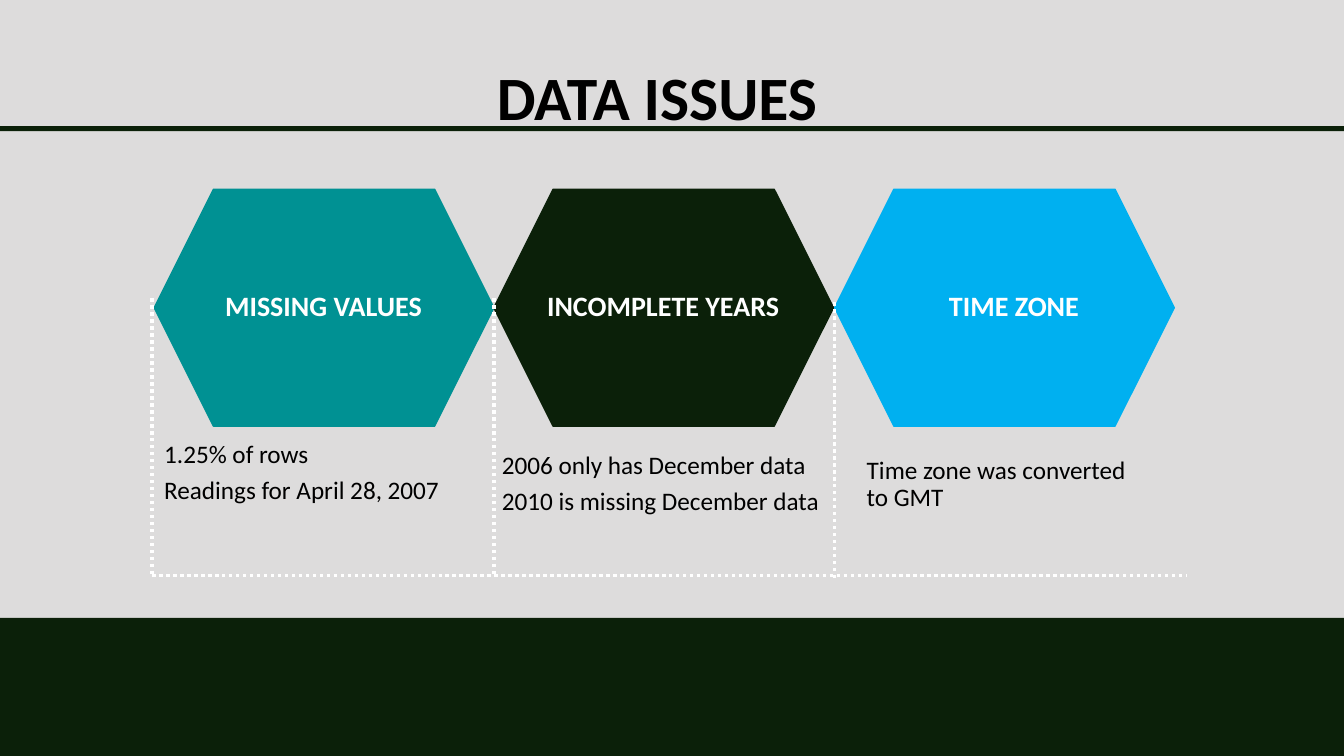
from dataclasses import dataclass

from lxml.etree import SubElement
from pptx import Presentation
from pptx.dml.color import RGBColor
from pptx.enum.dml import MSO_LINE
from pptx.enum.shapes import MSO_CONNECTOR, MSO_SHAPE
from pptx.enum.text import MSO_ANCHOR, MSO_AUTO_SIZE, PP_ALIGN
from pptx.oxml.ns import qn
from pptx.util import Pt


@dataclass(frozen=True)
class Theme:
    font: str = "Calibri"
    backdrop: str = "DDDCDC"
    forest: str = "0B2009"
    teal: str = "009193"
    sky: str = "00B0F0"
    ink: str = "000000"
    white: str = "FFFFFF"
    title_size: int = 44
    label_size: int = 20
    note_size: int = 18


def write(frame, text, *, font, size, color, bold=False, align=PP_ALIGN.LEFT,
          anchor=MSO_ANCHOR.TOP, after=0, fit=MSO_AUTO_SIZE.NONE, insets=(7.2, 3.6)):
    frame.word_wrap = True
    frame.auto_size = fit
    frame.vertical_anchor = anchor
    frame.margin_left = frame.margin_right = Pt(insets[0])
    frame.margin_top = frame.margin_bottom = Pt(insets[1])
    frame.text = text
    for paragraph in frame.paragraphs:
        paragraph.alignment = align
        paragraph.line_spacing = 0.9
        paragraph.space_before = Pt(0)
        paragraph.space_after = Pt(after)
        for run in paragraph.runs:
            run.font.name = font
            run.font.size = Pt(size)
            run.font.bold = bold
            run.font.color.rgb = RGBColor.from_string(color)


class SlideBuilder:
    def __init__(self, slide, theme):
        self.slide = slide
        self.theme = theme
        slide.background.fill.solid()
        slide.background.fill.fore_color.rgb = RGBColor.from_string(theme.backdrop)

    def title(self, text, left, top, width, height):
        heading = self.slide.shapes.title
        heading.left, heading.top = Pt(left), Pt(top)
        heading.width, heading.height = Pt(width), Pt(height)
        write(heading.text_frame, text, font=self.theme.font, size=self.theme.title_size,
              color=self.theme.ink, bold=True, align=PP_ALIGN.CENTER,
              anchor=MSO_ANCHOR.MIDDLE)

    def block(self, left, top, width, height, color, kind=MSO_SHAPE.RECTANGLE, parent=None):
        shapes = (parent or self.slide).shapes
        block = shapes.add_shape(kind, Pt(left), Pt(top), Pt(width), Pt(height))
        block.shadow.inherit = False
        block.fill.solid()
        block.fill.fore_color.rgb = RGBColor.from_string(color)
        block.line.fill.background()
        return block

    def issue(self, label, left, top, width, height, color, label_left):
        group = self.slide.shapes.add_group_shape()
        hexagon = self.block(left, top, width, height, color, MSO_SHAPE.HEXAGON, group)
        hexagon.line.color.rgb = RGBColor.from_string(color)
        hexagon.line.width = Pt(1)
        caption = group.shapes.add_textbox(Pt(label_left), Pt(top + 26.3), Pt(167), Pt(116.6))
        write(caption.text_frame, label, font=self.theme.font, size=self.theme.label_size,
              color=self.theme.white, bold=True, align=PP_ALIGN.CENTER,
              anchor=MSO_ANCHOR.MIDDLE, after=7, insets=(0, 1.4))

    def note(self, text, left, top, width, height):
        note = self.slide.shapes.add_textbox(Pt(left), Pt(top), Pt(width), Pt(height))
        write(note.text_frame, text, font=self.theme.font, size=self.theme.note_size,
              color=self.theme.ink, after=6.3, fit=MSO_AUTO_SIZE.SHAPE_TO_FIT_TEXT)

    def dotted_line(self, x1, y1, x2, y2):
        rule = self.slide.shapes.add_connector(
            MSO_CONNECTOR.STRAIGHT, Pt(x1), Pt(y1), Pt(x2), Pt(y2))
        rule.line.color.rgb = RGBColor.from_string(self.theme.white)
        rule.line.width = Pt(2.5)
        rule.line.dash_style = MSO_LINE.ROUND_DOT
        SubElement(rule._element.spPr, qn("a:effectLst"))


def main():
    theme = Theme()
    deck = Presentation()
    deck.slide_width, deck.slide_height = Pt(960), Pt(540)
    page = SlideBuilder(deck.slides.add_slide(deck.slide_layouts[5]), theme)

    page.title("DATA ISSUES", 55.4, 13, 828, 117.4)
    page.block(0, 441.4, 960, 98.6, theme.forest)

    issues = [
        ("MISSING VALUES", theme.teal, 110.2, 147.6,
         "1.25% of rows\nReadings for April 28, 2007", (110.2, 311.8, 216, 54)),
        ("INCOMPLETE YEARS", theme.forest, 352.8, 390.2,
         "2006 only has December data\n2010 is missing December data", (351.4, 319.7, 242.6, 54)),
        ("TIME ZONE", theme.sky, 596.2, 640.8,
         "Time zone was converted to GMT", (612, 323.3, 200.2, 46.8)),
    ]
    for label, color, left, label_left, note, note_box in issues:
        page.issue(label, left, 135.2, 242.6, 169.2, color, label_left)
        page.note(note, *note_box)

    page.dotted_line(108.7, 411.1, 847.4, 411.1)
    for x, top in ((352.8, 213.1), (596.2, 216), (108.7, 213.1)):
        page.dotted_line(x, top, x, top + 198.7)

    page.block(0, 90, 960, 3.6, theme.forest)
    deck.save("out.pptx")


if __name__ == "__main__":
    main()
